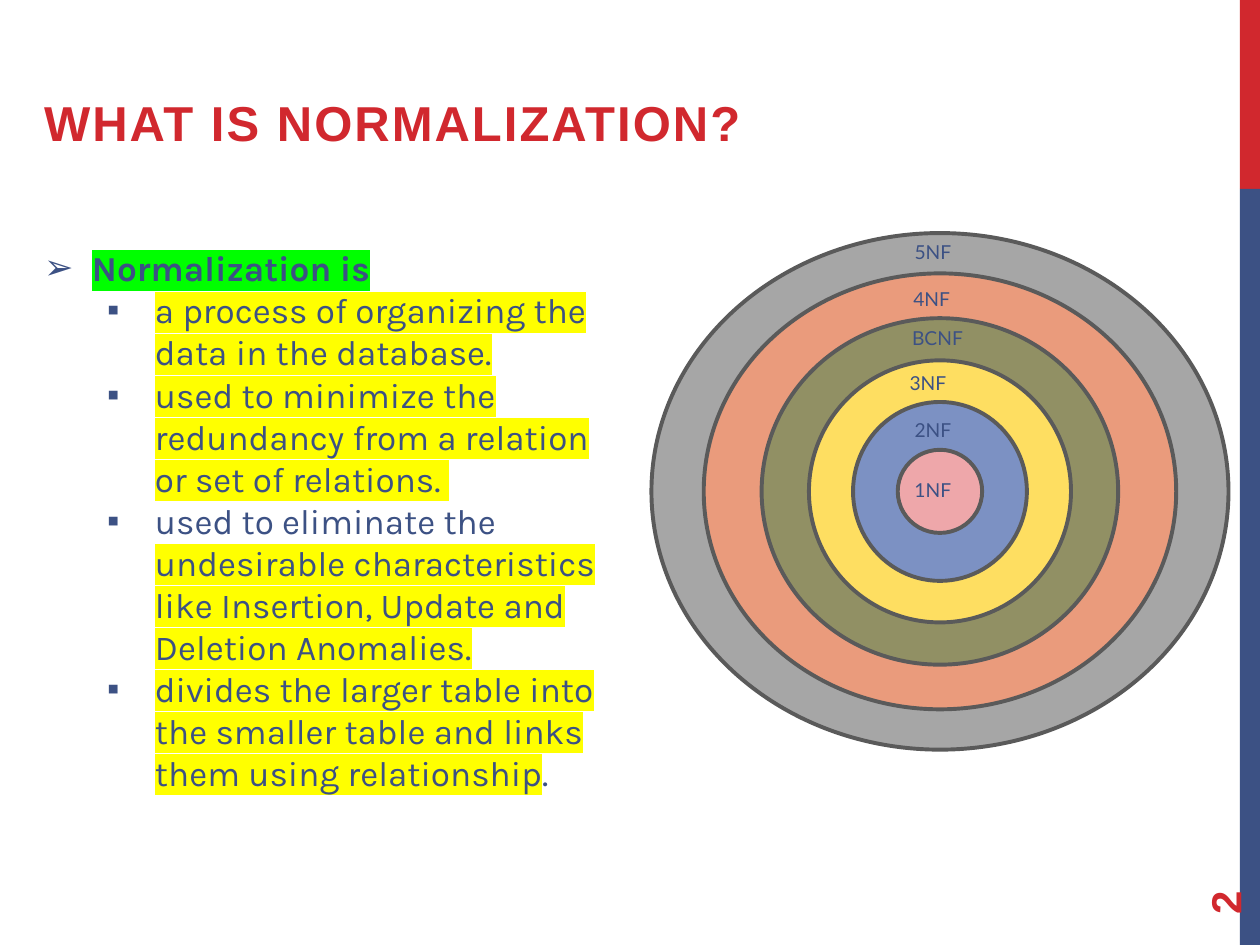
"""Build the slide that defines normalization beside nested normal forms."""
from lxml.etree import SubElement
from pptx import Presentation
from pptx.dml.color import RGBColor
from pptx.enum.shapes import MSO_SHAPE
from pptx.enum.text import MSO_ANCHOR, MSO_AUTO_SIZE, PP_ALIGN
from pptx.oxml.ns import qn
from pptx.util import Inches, Pt

RED, BLUE, OUTLINE = "D1282E", "3C5184", "5A5A5A"
GREEN, YELLOW = "00FF00", "FFFF00"


def paint(fill, color):
    fill.solid()
    fill.fore_color.rgb = RGBColor.from_string(color)


def style(run, name, size, color, bold=False, highlight=None):
    run.font.name, run.font.size, run.font.bold = name, Pt(size), bold
    paint(run.font.fill, color)
    if highlight:
        properties = run._r.get_or_add_rPr()
        marker = SubElement(properties, qn("a:highlight"))
        SubElement(marker, qn("a:srgbClr"), val=highlight)
        properties.find(qn("a:latin")).addprevious(marker)


presentation = Presentation()
presentation.slide_width, presentation.slide_height = Inches(10), Inches(7.5)
width, height = presentation.slide_width, presentation.slide_height
slide = presentation.slides.add_slide(presentation.slide_layouts[1])
title, body = slide.placeholders

bar_left = int(width * 0.984)
for top, bottom, color in [(0, 0.2, RED), (0.2, 1, BLUE)]:
    bar = slide.shapes.add_shape(MSO_SHAPE.RECTANGLE, bar_left, int(height * top),
                                 width - bar_left, int(height * (bottom - top)))
    bar.shadow.inherit = False
    paint(bar.fill, color)
    bar.line.fill.background()

title.left, title.top, title.width, title.height = map(Inches, (0.25, 0.58, 8.5, 0.67))
title.text_frame.text = "WHAT IS NORMALIZATION?"
title.text_frame.vertical_anchor = MSO_ANCHOR.BOTTOM
title.text_frame.auto_size = MSO_AUTO_SIZE.NONE
heading = title.text_frame.paragraphs[0]
heading.alignment = PP_ALIGN.LEFT
heading.space_before, heading.space_after = Pt(0), Pt(6)
style(heading.runs[0], "Arial", 28, RED, bold=True)
heading.runs[0]._r.get_or_add_rPr().set("spc", "120")

page_number = slide.shapes.add_textbox(*map(Inches, (9, 6.44, 1.44, 0.4)))
page_number.rotation = 270
page_number.text_frame.word_wrap = True
page_number.text_frame.vertical_anchor = MSO_ANCHOR.MIDDLE
page_number.text_frame.text = "2"
style(page_number.text_frame.paragraphs[0].runs[0], "Arial", 24, RED, bold=True)

body.left, body.top, body.width, body.height = map(Inches, (0.25, 1.91, 4.67, 4.48))
body.text_frame.auto_size = MSO_AUTO_SIZE.SHAPE_TO_FIT_TEXT
points = [
    (0, "➢", [("Normalization", True, GREEN), (" ", False, GREEN), ("is", True, GREEN)]),
    (1, "▪", [("a process of organizing the data in the database.", False, YELLOW)]),
    (1, "▪", [("used to minimize the redundancy from a relation or set of relations. ",
               False, YELLOW)]),
    (1, "▪", [("used to eliminate the ", False, None),
              ("undesirable characteristics like Insertion, Update and Deletion Anomalies.",
               False, YELLOW)]),
    (1, "▪", [("divides the larger table into the smaller table and links them "
               "using relationship", False, YELLOW), (".", False, None)]),
]
for index, (level, bullet, pieces) in enumerate(points):
    paragraph = body.text_frame.add_paragraph() if index else body.text_frame.paragraphs[0]
    paragraph.level = level
    paragraph.space_before = Pt(0)
    properties = paragraph._p.get_or_add_pPr()
    properties.set("marL", str(Inches(0.38 + 0.5 * level)))
    properties.set("indent", str(Inches(-0.38)))
    SubElement(properties, qn("a:buFont"), typeface="Arial")
    SubElement(properties, qn("a:buChar"), char=bullet)
    for text, bold, highlight in pieces:
        run = paragraph.add_run()
        run.text = text
        style(run, "Karla", 20, BLUE, bold, highlight)

diagram = slide.shapes.add_group_shape()
center_x, center_y = 7.46, 3.9
rings = [
    (4.58, 4.1, "A6A6A6"),
    (3.75, 3.46, "EA9B7C"),
    (2.83, 2.75, "919064"),
    (2.08, 2.08, "FEDE61"),
    (1.38, 1.42, "7C91C3"),
    (0.67, 0.66, "EEA7AA"),
]
for ring_width, ring_height, color in rings:
    ring = diagram.shapes.add_shape(
        MSO_SHAPE.FLOWCHART_CONNECTOR,
        *map(Inches, (center_x - ring_width / 2, center_y - ring_height / 2,
                      ring_width, ring_height)))
    ring.shadow.inherit = False
    paint(ring.fill, color)
    paint(ring.line.fill, OUTLINE)
    ring.line.width = Pt(2.25)

labels = [
    ("5NF", 7.16, 1.86, 0.59),
    ("4NF", 7.15, 2.23, 0.6),
    ("BCNF", 7.14, 2.54, 0.7),
    ("3NF", 7.12, 2.9, 0.59),
    ("2NF", 7.16, 3.27, 0.58),
    ("1NF", 7.16, 3.75, 0.54),
]
for text, left, top, label_width in labels:
    label = diagram.shapes.add_textbox(*map(Inches, (left, top, label_width, 0.29)))
    label.text_frame.word_wrap = False
    label.text_frame.auto_size = MSO_AUTO_SIZE.SHAPE_TO_FIT_TEXT
    label.text_frame.text = text
    style(label.text_frame.paragraphs[0].runs[0], "Lato", 11, BLUE)

presentation.save("out.pptx")
